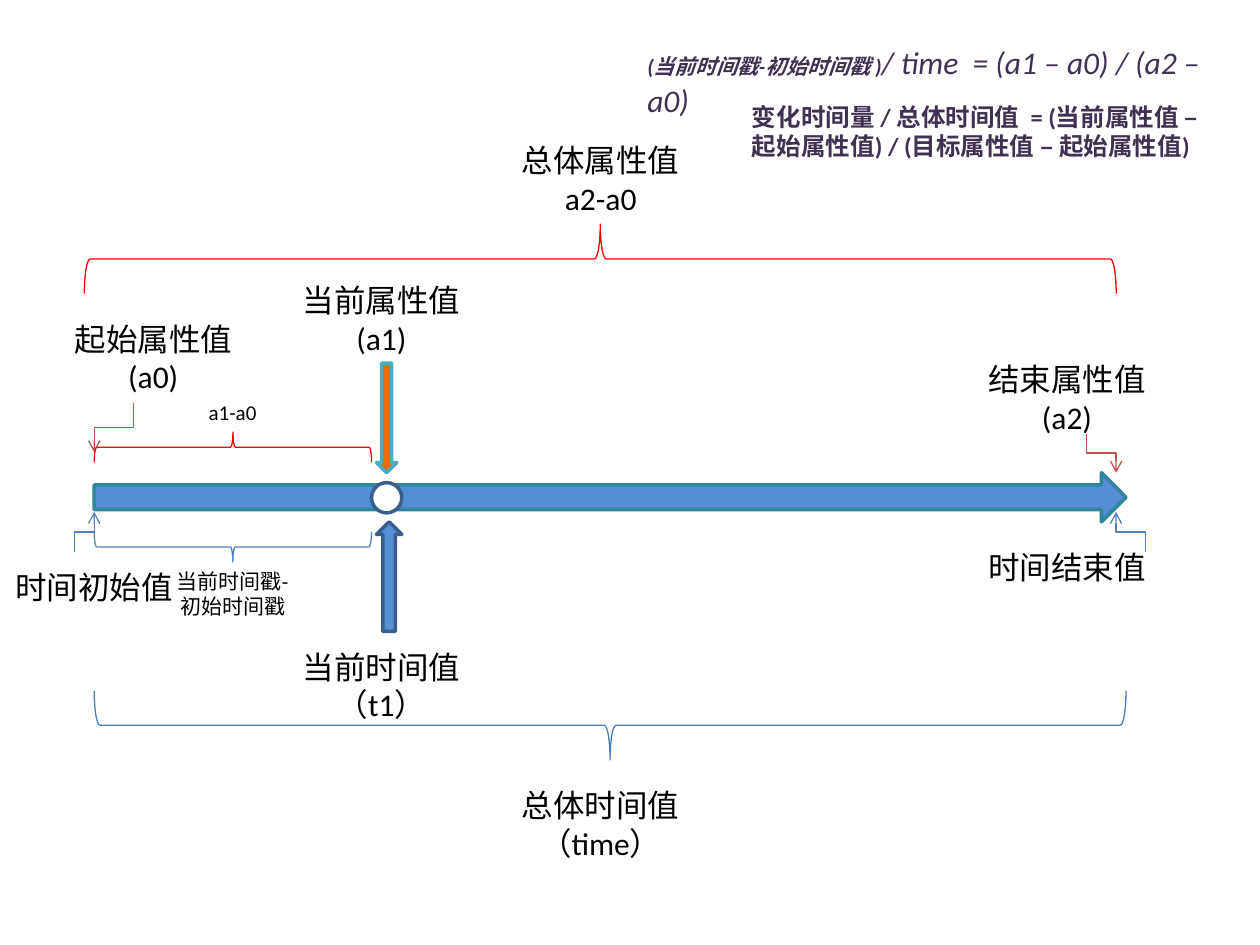
from pptx import Presentation
from pptx import util as u
from pptx.dml.color import RGBColor
from pptx.enum import shapes, text
from pptx.oxml.ns import qn
from lxml import etree

THEME = {
    "font": "Calibri", "black": "000000", "purple": "403152",
    "blue": "4F81BD", "navy": "3A5F8C", "sky": "558ED5", "teal": "31859C",
    "aqua": "4BACC6", "orange": "E46C0A", "red": "FF0000",
    "brick": "C0504D", "steel": "4B7EBC", "white": "FFFFFF",
    "large": 18, "medium": 14, "small": 12, "thin": 0.75, "thick": 2,
}
LABEL_WIDTH = 4
LINE_HEIGHT = {"large": 0.78, "small": 0.51}
PADDING = 0.25

# Labels: lines, left, top, size
LABELS = [
    (["起始属性值", "(a0)"], 1.09, 6.32, "large"),
    (["时间初始值"], -0.1, 11.33, "large"),
    (["时间结束值"], 19.51, 10.92, "large"),
    (["当前时间值", "（t1）"], 5.69, 12.93, "large"),
    (["总体时间值", "（time）"], 10.11, 15.72, "large"),
    (["当前属性值", "(a1)"], 5.69, 5.54, "large"),
    (["结束属性值", "(a2)"], 19.51, 7.14, "large"),
    (["a1-a0"], 2.69, 7.92, "small"),
    (["当前时间戳-", "初始时间戳"], 2.69, 11.33, "small"),
    (["总体属性值", "a2-a0"], 10.11, 2.72, "large"),
]

# Formulas: box, spans of (words, size, bold, italic)
FORMULAS = [
    ((12.8, 0.74, 12.6, 1.02), [
        ("(当前时间戳-初始时间戳 )", "small", True, True),
        ("/ time  = (a1 – a0) / (a2 – a0)", "large", False, True)]),
    ((14.91, 1.93, 9.8, 1.45), [
        ("变化时间量 / 总体时间值  = (当前属性值 – 起始属性值)"
         " / (目标属性值 – 起始属性值)", "medium", True, False)]),
]

# Timeline: kind, box, fill, line
KIND = shapes.MSO_SHAPE
TIMELINE = [
    (KIND.RIGHT_ARROW, (1.9, 9.53, 20.8, 0.99), "sky", "teal"),
    (KIND.UP_ARROW, (7.59, 10.52, 0.51, 2.21), "sky", "navy"),
    (KIND.DOWN_ARROW, (7.59, 7.32, 0.41, 2.21), "orange", "aqua"),
    (KIND.OVAL, (7.49, 9.73, 0.61, 0.61), "white", "navy"),
]

# Braces: box as seen, rotation (90 points up, 270 points down), line
BRACES = [
    ((1.9, 13.92, 20.8, 1.4), 270, "steel"),
    ((1.7, 4.52, 20.8, 1.4), 90, "red"),
    ((1.9, 8.71, 5.59, 0.61), 90, "red"),
    ((1.9, 10.72, 5.59, 0.61), 270, "blue"),
]

# Pointers: start, end, line
POINTERS = [
    ((1.5, 11.13), (1.9, 10.32), "blue"),
    ((23.09, 11.13), (22.5, 10.32), "blue"),
    ((2.69, 8.13), (1.9, 9.12), "brick"),
    ((21.9, 8.74), (22.5, 9.53), "brick"),
]


def color(name):
    return RGBColor.from_string(THEME[name])


def cm(values):
    return [u.Cm(value) for value in values]


def quarter_turned(left, top, width, height):
    """Unrotated box that covers the given box after a quarter turn."""
    shift = (width - height) / 2
    return left + shift, top - shift, height, width


def format_span(span, size, ink, bold=False, italic=False):
    span.font.name = THEME["font"]
    span.font.size = u.Pt(THEME[size])
    span.font.color.rgb = color(ink)
    span.font.bold, span.font.italic = bold, italic


def add_text_box(page, area):
    frame = page.shapes.add_textbox(*cm(area)).text_frame
    frame.word_wrap = True
    frame.auto_size = text.MSO_AUTO_SIZE.SHAPE_TO_FIT_TEXT
    return frame


def add_label(page, lines, left, top, size):
    height = len(lines) * LINE_HEIGHT[size] + PADDING
    frame = add_text_box(page, (left, top, LABEL_WIDTH, height))
    frame.text = "\n".join(lines)
    for para in frame.paragraphs:
        para.alignment = text.PP_ALIGN.CENTER
        for span in para.runs:
            format_span(span, size, "black")


def add_formula(page, area, spans):
    para = add_text_box(page, area).paragraphs[0]
    for words, size, bold, italic in spans:
        span = para.add_run()
        span.text = words
        format_span(span, size, "purple", bold, italic)


def add_outlined(page, kind, area, line, weight, fill=None):
    shape = page.shapes.add_shape(kind, *cm(area))
    shape.shadow.inherit = False
    if fill:
        shape.fill.solid()
        shape.fill.fore_color.rgb = color(fill)
    else:
        shape.fill.background()
    shape.line.color.rgb = color(line)
    shape.line.width = u.Pt(THEME[weight])
    return shape


def add_pointer(page, start, end, line):
    """Elbow that leaves and arrives vertically, with an open arrowhead."""
    (x1, y1), (x2, y2) = start, end
    pointer = page.shapes.add_connector(
        shapes.MSO_CONNECTOR.ELBOW, *cm(start + end))
    area = quarter_turned(min(x1, x2), min(y1, y2), abs(x2 - x1), abs(y2 - y1))
    pointer.left, pointer.top, pointer.width, pointer.height = cm(area)
    properties = pointer._element.spPr
    turn = properties.find(qn("a:xfrm"))
    turn.set("rot", str(90 * 60000))
    turn.set("flipH", str(int(y2 < y1)))
    turn.set("flipV", str(int(x2 > x1)))
    pointer.line.color.rgb = color(line)
    pointer.line.width = u.Pt(THEME["thin"])
    etree.SubElement(properties.find(qn("a:ln")), qn("a:tailEnd"), type="arrow")
    etree.SubElement(properties, qn("a:effectLst"))


def main():
    deck = Presentation()
    deck.slide_width, deck.slide_height = cm((25.4, 19.05))
    page = deck.slides.add_slide(deck.slide_layouts.get_by_name("Blank"))

    # Pointers and braces
    for pointer in POINTERS:
        add_pointer(page, *pointer)
    for area, rotation, line in BRACES:
        brace = add_outlined(
            page, KIND.LEFT_BRACE, quarter_turned(*area), line, "thin")
        brace.rotation = rotation

    # Timeline with its current position
    for kind, area, fill, line in TIMELINE:
        add_outlined(page, kind, area, line, "thick", fill)

    # Words
    for label in LABELS:
        add_label(page, *label)
    for formula in FORMULAS:
        add_formula(page, *formula)

    deck.save("out.pptx")


if __name__ == "__main__":
    main()
